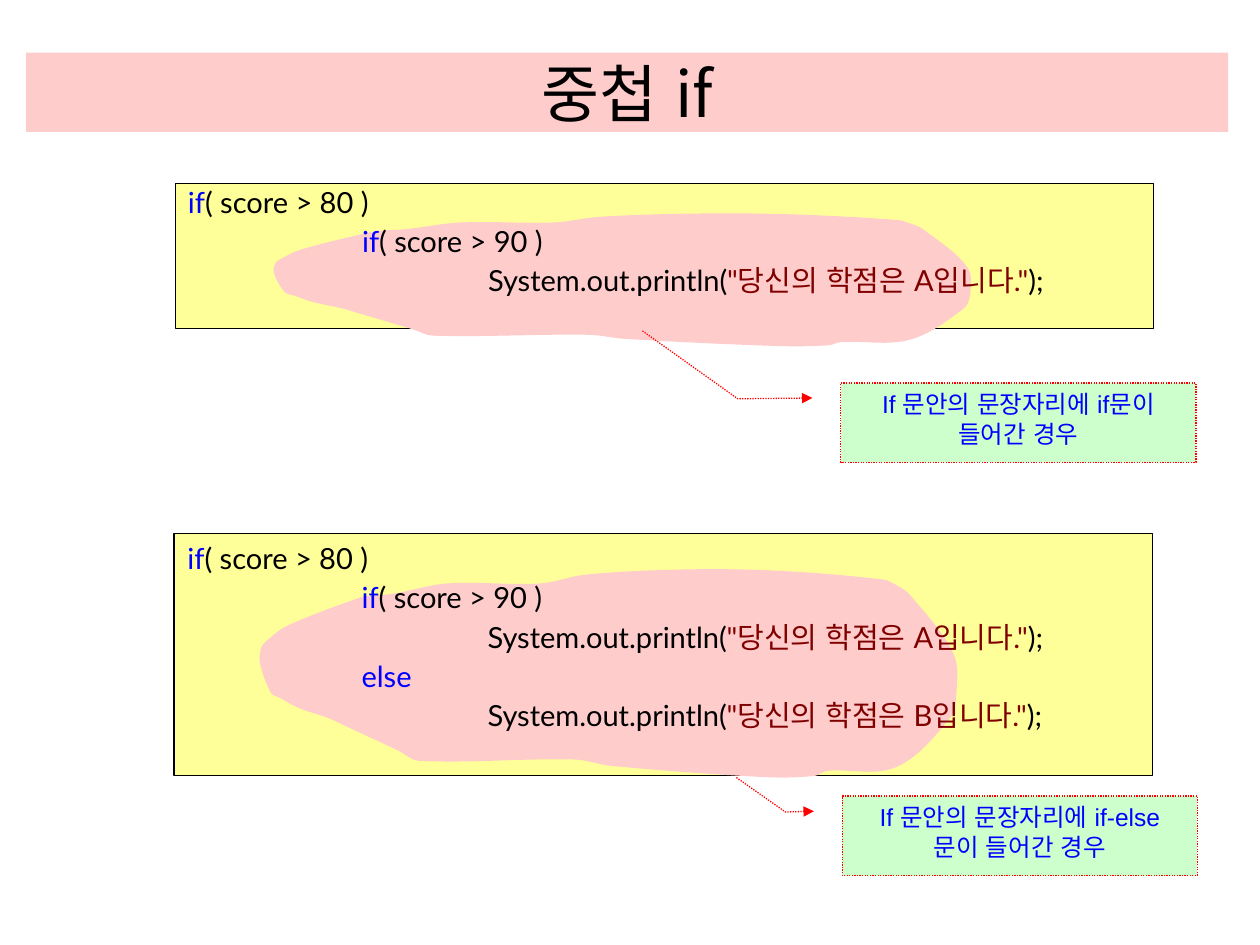
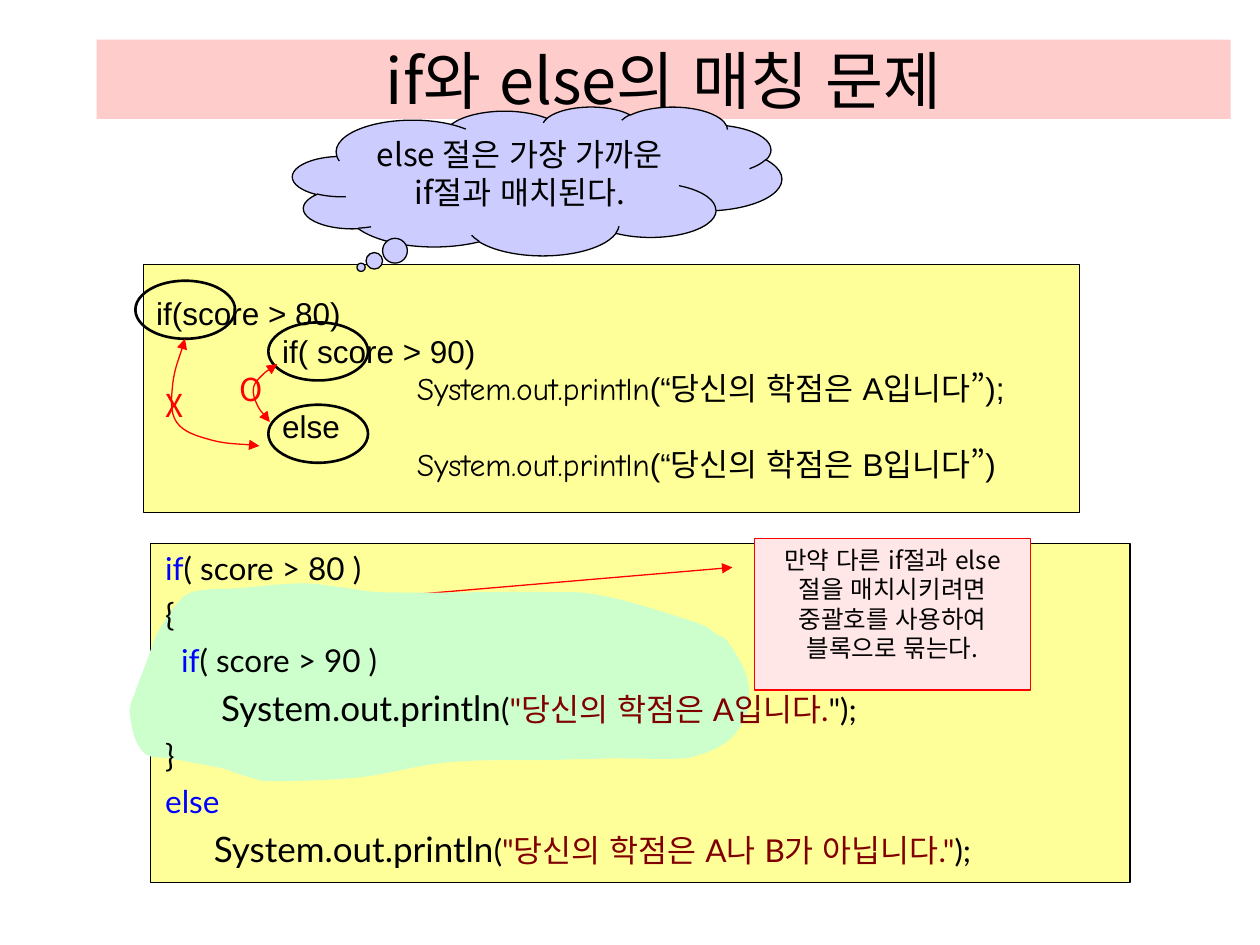
from lxml.etree import SubElement
from pptx import Presentation
from pptx.dml.color import RGBColor
from pptx.enum.dml import MSO_LINE
from pptx.enum.lang import MSO_LANGUAGE_ID
from pptx.enum.shapes import MSO_SHAPE
from pptx.enum.text import MSO_ANCHOR, PP_ALIGN
from pptx.oxml.ns import qn
from pptx.util import Cm, Pt

BLACK, BLUE, RED, MAROON = "000000", "0000FF", "FF0000", "800000"
PINK, YELLOW, GREEN, LILAC, ROSE = "FFCCCC", "FFFF99", "CCFFCC", "CCCCFF", "FFE7E7"
KOREAN, SANS, CODE, COMIC = "Noto Sans CJK KR", "Arial", "Lato", "Comic Neue"
HANGING = 0.97
TAB = 2.54

NESTED_OUTLINE = [
    (0.9, 35.7), (3.8, 28.7), (14.5, 15.2), (16, 14.6), (19.3, 13.5), (26.9, 8.8),
    (40.3, 8.8), (46.8, 4.7), (61.1, 2.3), (74.3, 2.9), (89.5, 7),
    (91.3, 9.4), (93.3, 14), (99.6, 41.5), (100, 60.2), (99.1, 71.3),
    (91.3, 94.2), (81.4, 95.9), (79.7, 98.2), (72.7, 98.8), (50.5, 93.6), (45.2, 90.6),
    (22.8, 91.2), (19.9, 86.5), (11.8, 74.3), (9.8, 71.3), (5.6, 66.7), (2.9, 62),
    (1.6, 59.6), (0, 45.6), (0.2, 38.6),
]
BLOCK_OUTLINE = [
    (17.5, 2.5), (10.2, 4.5), (7.5, 11.5), (5.3, 21.7), (4.3, 27.4), (3.1, 38.2),
    (1.2, 54.1), (0.2, 65.6), (2.4, 85.4), (7.1, 88.5), (10, 90.4), (15.3, 93.6),
    (17.7, 96.2), (20.4, 98.7), (22, 100), (37.1, 98.1), (51.7, 90.4), (69, 89.2),
    (78.4, 88.5), (89.8, 88.5), (92.3, 86.6), (93.5, 85.4), (95.7, 82.2), (97.8, 77.1),
    (100, 65), (100, 47.8), (96.7, 28.7), (94.9, 25.5), (93.3, 21.7), (87.2, 15.3),
    (83.3, 11.5), (77.8, 7), (72.1, 4.5), (40.7, 4.5), (34.2, 1.9), (28.1, 0),
]
X_CURVE = [(3.73, 6.83), (3.48, 7.77), (3.56, 8.51), (4.22, 8.86), (5.23, 8.99)]
O_CURVE = [(5.59, 7.34), (5.28, 7.57), (5.11, 7.82), (5.18, 8.15), (5.44, 8.51)]


def color(hex_value):
    return RGBColor.from_string(hex_value)


def apply(target, formats):
    for attribute, value in formats.items():
        setattr(target, attribute, value)


def paint(shape, fill=None, line=None, width=0.75, dash=None):
    shape.shadow.inherit = False
    if fill:
        shape.fill.solid()
        shape.fill.fore_color.rgb = color(fill)
    else:
        shape.fill.background()
    if line:
        shape.line.color.rgb = color(line)
        apply(shape.line, {"width": Pt(width), "dash_style": dash})
    else:
        shape.line.fill.background()


def add_arrowheads(shape, *ends):
    outline = shape._element.spPr.find(qn("a:ln"))
    for end in ends:
        SubElement(outline, qn(f"a:{end}")).set("type", "triangle")


def add_figure(slide, kind, box, adjustments=(), **look):
    shape = slide.shapes.add_shape(kind, *map(Cm, box))
    for index, value in enumerate(adjustments):
        shape.adjustments[index] = value
    paint(shape, **look)
    return shape


def set_tabs(properties):
    properties.set("defTabSz", str(Cm(TAB)))
    stops = SubElement(properties, qn("a:tabLst"))
    for number in range(8):
        SubElement(stops, qn("a:tab"), pos=str(Cm(TAB * number)), algn="l")


def write(shape, lines, font, size, ink=BLACK, anchor=MSO_ANCHOR.TOP, wrap=True,
          align=PP_ALIGN.LEFT, spacing=None, before=None, hanging=0):
    frame = shape.text_frame
    apply(frame, {"word_wrap": wrap, "vertical_anchor": anchor})
    for number, line in enumerate(lines):
        paragraph = frame.add_paragraph() if number else frame.paragraphs[0]
        apply(paragraph, {"alignment": align, "line_spacing": spacing, "space_before": before})
        indent, runs = line if isinstance(line, tuple) else (None, line)
        properties = paragraph._p.get_or_add_pPr()
        properties.set("marL", str(Cm(hanging if indent is None else indent)))
        properties.set("indent", str(Cm(-hanging if indent is None else 0)))
        set_tabs(properties)
        for text, changes in runs:
            style = {"font": font, "size": size, "ink": ink, **changes}
            run = paragraph.add_run()
            run.text = text
            apply(run.font, {"name": style["font"], "size": Pt(style["size"]),
                             "language_id": MSO_LANGUAGE_ID.KOREAN})
            run.font.color.rgb = color(style["ink"])
            SubElement(run.font._element, qn("a:ea"), typeface=KOREAN)


def add_title(slide, text, box):
    band = add_figure(slide, MSO_SHAPE.RECTANGLE, box, fill=PINK)
    write(band, [[(text, {})]], KOREAN, 36, anchor=MSO_ANCHOR.MIDDLE, align=PP_ALIGN.CENTER)


def add_code_box(slide, box):
    return add_figure(slide, MSO_SHAPE.RECTANGLE, box, fill=YELLOW, line=BLACK)


def add_code(slide, box, lines, size, spacing=None):
    code = slide.shapes.add_textbox(*map(Cm, box))
    write(code, lines, CODE, size, spacing=spacing, before=Pt(4.5), hanging=HANGING)


def add_callout(slide, kind, box, adjustments, text, font, ink, **look):
    callout = add_figure(slide, kind, box, adjustments, line=RED, **look)
    add_arrowheads(callout, "headEnd")
    write(callout, [[(text, {})]], font, 14, ink, align=PP_ALIGN.CENTER)


def bezier_triples(knots, closed):
    ring = [knots[-2], *knots, knots[1]] if closed else [knots[0], *knots, knots[-1]]
    for before, start, end, after in zip(ring, ring[1:], ring[2:], ring[3:]):
        reach = abs(end - start) / 3
        leave = start + (end - before) / abs(end - before) * reach
        arrive = end - (after - start) / abs(after - start) * reach
        yield leave, arrive, end


def add_curve(slide, points, closed=False, **look):
    corners = [(Cm(x), Cm(y)) for x, y in points]
    if closed:
        corners.append(corners[0])
    builder = slide.shapes.build_freeform(*corners[0])
    builder.add_line_segments(corners[1:], close=closed)
    curve = builder.convert_to_shape()
    knots = [complex(x - curve.left, y - curve.top) for x, y in corners]
    segments = list(curve._element.iter(qn("a:lnTo")))
    for segment, triple in zip(segments, bezier_triples(knots, closed)):
        segment.clear()
        bend = segment.makeelement(qn("a:cubicBezTo"))
        for point in triple:
            SubElement(bend, qn("a:pt"), x=str(round(point.real)), y=str(round(point.imag)))
        segment.getparent().replace(segment, bend)
    paint(curve, **look)
    return curve


def add_blob(slide, outline, box, fill):
    left, top, width, height = box
    points = [(left + width * x / 100, top + height * y / 100) for x, y in outline]
    add_curve(slide, points, closed=True, fill=fill)


def condition(limit, tabs=""):
    lead = [(tabs, {})] if tabs else []
    return [*lead, ("if", {"ink": BLUE}), (f"( score > {limit} )", {})]


def println(message, ending=");", tabs="", name_size=16.6):
    return [(f"{tabs}System.out.println", {"size": name_size}), ("(", {}),
            (message, {"ink": MAROON}), (ending, {})]


def plain_println(ending):
    return [("\t\t ", {}), ("System.out.println", {"font": COMIC}), (ending, {})]


def build_nested_if(slide):
    add_title(slide, "중첩 if", (0.53, 1.06, 24.23, 1.6))
    nested_if = [condition(80), condition(90, "\t\t"),
                 println('"당신의 학점은 A입니다."', tabs="\t\t\t")]
    nested_else = [[("\t\t", {}), ("else", {"ink": BLUE})],
                   println('"당신의 학점은 B입니다."', tabs="\t\t\t")]
    add_code_box(slide, (3.54, 3.7, 19.71, 2.93))
    add_code_box(slide, (3.51, 10.75, 19.73, 4.88))
    add_blob(slide, NESTED_OUTLINE, (5.52, 4.24, 14.04, 2.77), PINK)
    add_code(slide, (3.54, 3.67, 19.71, 2.92), nested_if, 16.6, 0.9)
    add_blob(slide, NESTED_OUTLINE, (5.24, 11.38, 14.04, 4.34), PINK)
    add_code(slide, (3.53, 10.85, 19.74, 4.88), nested_if + nested_else, 16.6, 0.9)
    for left, top, bend, text in [
        (16.95, 7.72, (-0.29, -0.66, -0.56), "If 문안의 문장자리에 if문이 들어간 경우"),
        (16.98, 16.05, (-0.16, -0.24, -0.3), "If 문안의 문장자리에 if-else 문이 들어간 경우"),
    ]:
        add_callout(slide, MSO_SHAPE.LINE_CALLOUT_2, (left, top, 7.16, 1.6),
                    (0.19, -0.08, 0.2, *bend), text, SANS, BLUE,
                    fill=GREEN, dash=MSO_LINE.ROUND_DOT)


def build_matching(slide):
    add_title(slide, "if와 else의 매칭 문제", (1.95, 0.8, 22.86, 1.6))
    add_code_box(slide, (3.04, 10.96, 19.74, 6.83))
    dangling = add_code_box(slide, (2.9, 5.33, 18.87, 5))
    write(dangling, [
        [("if(score > 80)", {})],
        [("\tif( score > 90)", {})],
        plain_println("(“당신의 학점은 A입니다”);"),
        [("\telse", {})],
        plain_println("(“당신의 학점은 B입니다”)"),
    ], SANS, 18, anchor=MSO_ANCHOR.MIDDLE, wrap=False)

    for left, top in [(5.41, 8.16), (5.41, 6.5), (2.73, 5.66)]:
        add_figure(slide, MSO_SHAPE.OVAL, (left, top, 2.01, 1.17), line=BLACK, width=1.5)
    for points, mark, box in [(O_CURVE, "O", (4.57, 7.34, 0.99, 1.02)),
                              (X_CURVE, "X", (3.08, 7.66, 0.86, 1.02))]:
        add_arrowheads(add_curve(slide, points, line=RED), "headEnd", "tailEnd")
        verdict = slide.shapes.add_textbox(*map(Cm, box))
        write(verdict, [[(mark, {})]], KOREAN, 18, RED, wrap=False)

    cloud = add_figure(slide, MSO_SHAPE.CLOUD_CALLOUT, (5.9, 2.15, 9.86, 3),
                       (-0.36, 0.58), fill=LILAC, line=BLACK)
    write(cloud, [[("else 절은 가장 가까운 if절과 매치된다.", {})]], KOREAN, 18,
          align=PP_ALIGN.CENTER)
    add_callout(slide, MSO_SHAPE.LINE_CALLOUT_1, (15.21, 10.86, 5.57, 3.05),
                (0.19, -0.08, 0.49, -2.01),
                "만약 다른 if절과 else 절을 매치시키려면 중괄호를 사용하여 블록으로 묶는다.",
                KOREAN, BLACK, fill=ROSE)

    add_blob(slide, BLOCK_OUTLINE, (2.59, 11.76, 12.47, 3.99), GREEN)
    add_code(slide, (3.08, 10.95, 19.74, 6.83), [
        condition(80),
        [("{", {})],
        (0.32, condition(90)),
        (1.13, println('"당신의 학점은 A입니다.', '");', name_size=20)),
        [("}", {})],
        [("else", {"ink": BLUE})],
        (0.98, println('"당신의 학점은 A나 B가 아닙니다."', name_size=20)),
    ], 18)


def main():
    deck = Presentation()
    apply(deck, {"slide_width": Cm(25.4), "slide_height": Cm(19.05)})
    for build in (build_nested_if, build_matching):
        build(deck.slides.add_slide(deck.slide_layouts[6]))
    deck.save("out.pptx")


if __name__ == "__main__":
    main()
